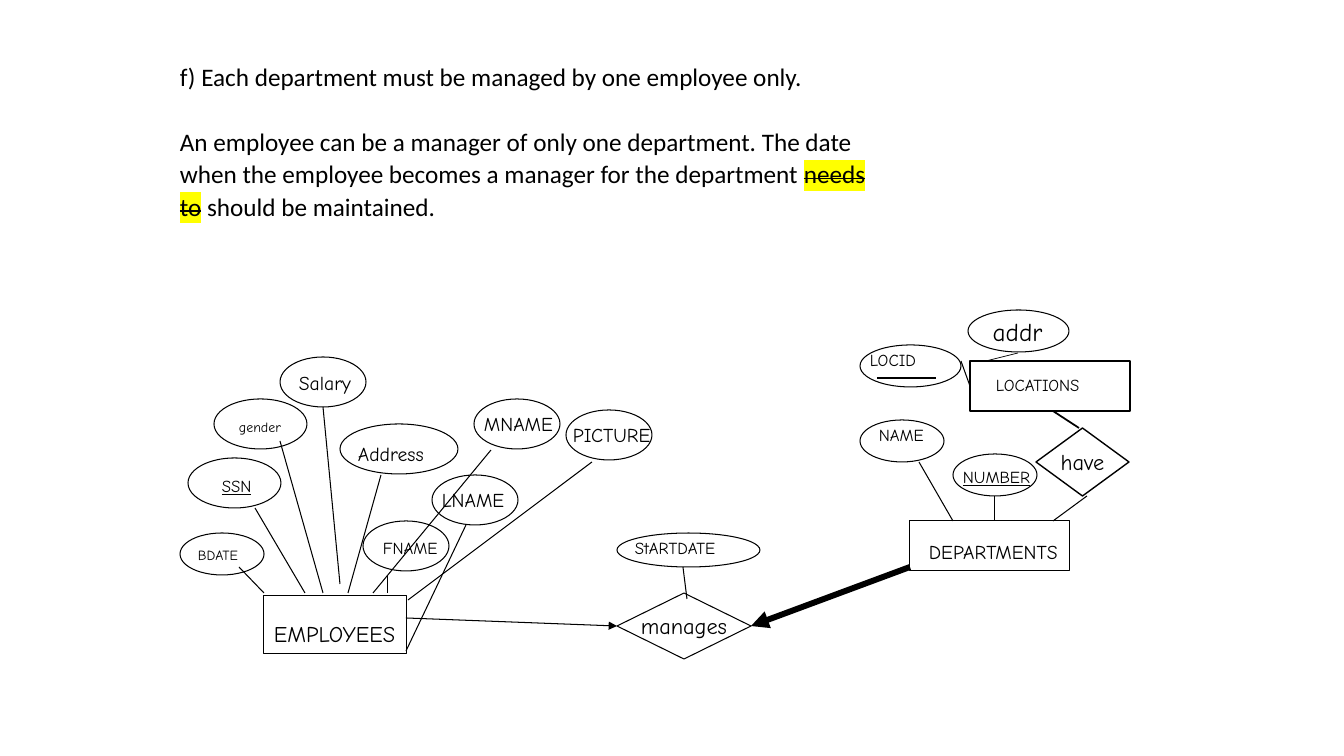
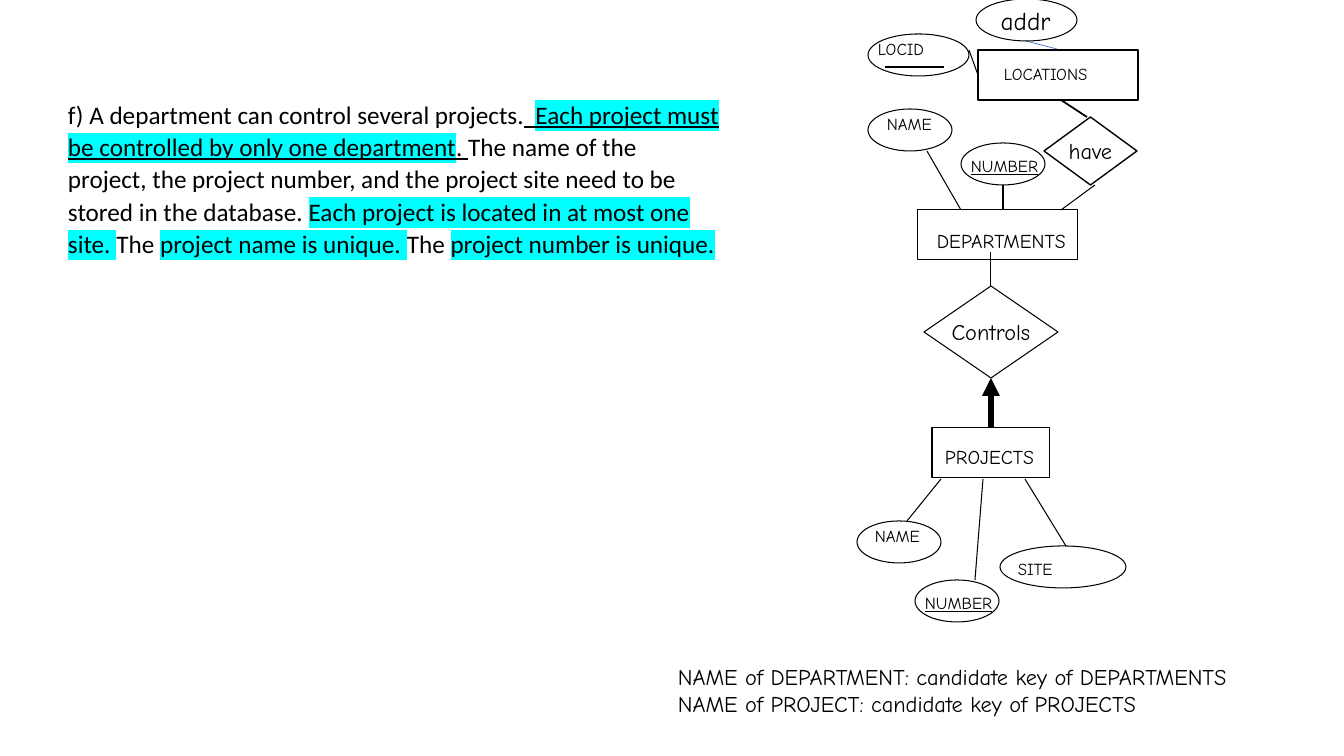
import pptx
import pptx.dml.color
import pptx.enum.shapes
import pptx.enum.text
import pptx.oxml.ns
import pptx.util
from lxml import etree

SCALE = 914400 / 100.8
BLACK, YELLOW, CYAN, BLUE = "000000", "FFFF00", "00FFFF", "4472C4"
BODY_FONT, DIAGRAM_FONT = "Calibri", "Comic Neue"
LABEL_HEIGHT = {10: 27, 12: 30, 14: 34, 16: 37}

shape_type = pptx.enum.shapes.MSO_SHAPE
RECTANGLE, ELLIPSE, DIAMOND = shape_type.RECTANGLE, shape_type.OVAL, shape_type.DIAMOND
LEFT, CENTER = pptx.enum.text.PP_ALIGN.LEFT, pptx.enum.text.PP_ALIGN.CENTER
qn = pptx.oxml.ns.qn


def color(hex_value):
    return pptx.dml.color.RGBColor.from_string(hex_value)


def add_run(paragraph, text, font_name, size, underline=False, strike=False, highlight=None):
    run = paragraph.add_run()
    run.text = text
    run.font.size = pptx.util.Pt(size)
    run.font.color.rgb = color(BLACK)
    if underline:
        run.font.underline = True
    properties = run.font._element
    if strike:
        properties.set("strike", "sngStrike")
    if highlight:
        marker = etree.SubElement(properties, qn("a:highlight"))
        etree.SubElement(marker, qn("a:srgbClr")).set("val", highlight)
    run.font.name = font_name


departments = {
    "outlines": [
        (RECTANGLE, 910, 521, 160, 50, 0.75),
        (ELLIPSE, 860, 420, 84, 42, 0.75),
        (ELLIPSE, 953, 454, 84, 42, 0.75),
        (RECTANGLE, 970, 361, 160, 50, 1),
        (DIAMOND, 1036, 428, 93, 68, 1, "have", 16, CENTER),
        (ELLIPSE, 860, 345, 101, 42, 0.75),
        (ELLIPSE, 968, 310, 101, 42, 0.75, "addr", 18, LEFT),
    ],
    "labels": [
        ("DEPARTMENTS", 919, 535, 170, 14, False),
        ("NAME", 869, 420, 72, 12, False),
        ("NUMBER", 953, 462, 93, 12, True),
        ("LOCATIONS", 986, 370, 126, 12, False),
        ("LOCID", 860, 345, 75, 12, False),
    ],
    "lines": [
        (995, 521, 995, 496, 0.75, BLACK, False),
        (1053, 521, 1087, 496, 0.75, BLACK, False),
        (953, 521, 919, 462, 0.75, BLACK, False),
        (1079, 428, 1053, 411, 1.25, BLACK, False),
        (961, 361, 970, 386, 0.75, BLACK, False),
        (877, 378, 936, 378, 0.75, BLACK, False),
    ],
}

employees = {
    "outlines": [
        (DIAMOND, 617, 593, 134, 66, 0.75, "manages", 16, CENTER),
        (ELLIPSE, 617, 533, 143, 34, 0.75),
        (RECTANGLE, 264, 596, 143, 58, 0.75),
        (ELLIPSE, 180, 533, 84, 42, 0.75),
        (ELLIPSE, 188, 458, 93, 50, 0.75),
        (ELLIPSE, 214, 399, 93, 50, 0.75),
        (ELLIPSE, 363, 521, 86, 50, 0.75),
        (ELLIPSE, 340, 424, 118, 50, 0.75),
        (ELLIPSE, 280, 357, 86, 50, 0.75),
        (ELLIPSE, 432, 475, 86, 50, 0.75),
        (ELLIPSE, 474, 399, 86, 50, 0.75),
        (ELLIPSE, 566, 410, 86, 50, 0.75),
    ],
    "labels": [
        ("StARTDATE", 625, 533, 120, 12, False),
        ("EMPLOYEES", 264, 615, 155, 16, False),
        ("BDATE", 188, 542, 68, 10, False),
        ("SSN", 212, 471, 57, 12, True),
        ("gender", 229, 414, 66, 10, False),
        ("Address", 348, 437, 97, 14, False),
        ("Salary", 289, 366, 79, 14, False),
        ("FNAME", 373, 533, 83, 12, False),
        ("LNAME", 432, 483, 92, 14, False),
        ("MNAME", 474, 407, 98, 14, False),
        ("PICTURE", 563, 418, 106, 14, False),
    ],
    "lines": [
        (406, 618, 617, 626, 0.75, BLACK, True),
        (910, 567, 751, 626, 4.25, BLACK, True),
        (683, 567, 687, 599, 0.75, BLACK, False),
        (264, 593, 239, 567, 0.75, BLACK, False),
        (388, 593, 388, 576, 0.75, BLACK, False),
        (305, 593, 255, 508, 0.75, BLACK, False),
        (323, 593, 280, 441, 0.75, BLACK, False),
        (323, 407, 340, 584, 0.75, BLACK, False),
        (381, 475, 348, 593, 0.75, BLACK, False),
        (466, 525, 406, 651, 0.75, BLACK, False),
        (491, 450, 373, 593, 0.75, BLACK, False),
        (408, 600, 592, 462, 0.75, BLACK, False),
        (986, 361, 1018, 353, 0.5, BLACK, False),
    ],
}

projects = {
    "outlines": [
        (RECTANGLE, 932, 428, 118, 50, 0.75),
        (ELLIPSE, 857, 521, 84, 42, 0.75),
        (ELLIPSE, 915, 580, 84, 42, 0.75),
        (ELLIPSE, 1000, 546, 126, 42, 0.75),
        (DIAMOND, 924, 286, 134, 92, 0.75, "Controls", 16, CENTER),
    ],
    "labels": [
        ("PROJECTS", 935, 440, 123, 14, False),
        ("NAME", 865, 521, 72, 12, False),
        ("NUMBER", 915, 588, 93, 12, True),
        ("SITE", 1008, 554, 64, 12, False),
    ],
    "lines": [
        (941, 479, 907, 521, 0.75, BLACK, False),
        (983, 479, 975, 580, 0.75, BLACK, False),
        (1025, 479, 1066, 546, 0.75, BLACK, False),
        (991, 428, 991, 378, 4.25, BLACK, True),
        (991, 252, 991, 286, 0.75, BLACK, False),
        (1026, 41, 1057, 49, 0.5, BLUE, False),
    ],
}

manager_rule = [
    [("f) Each department must be managed by one employee only. ", {})],
    [
        ("An employee can be a manager of only one department. The date when the employee "
         "becomes a manager for the department ", {}),
        ("needs to", {"strike": True, "highlight": YELLOW}),
        (" should be maintained. ", {}),
    ],
]
project_rule = [
    [
        ("f) A department can control several projects.", {}),
        ("  ", {"underline": True}),
        ("Each project must be controlled by only one department",
         {"underline": True, "highlight": CYAN}),
        (". ", {"underline": True}),
        ("The name of the project, the project number, and the project site need to be "
         "stored in the database. ", {}),
        ("Each project is located in at most one site. ", {"highlight": CYAN}),
        ("The ", {}),
        ("project name is unique. ", {"highlight": CYAN}),
        ("The ", {}),
        ("project number is unique.", {"highlight": CYAN}),
    ],
]
candidate_keys = [
    [("NAME of DEPARTMENT: candidate key of DEPARTMENTS", {})],
    [("NAME of PROJECT: candidate key of PROJECTS", {})],
]

pages = [
    ([(employees, 0, 0), (departments, 0, 0)],
     [(manager_rule, 170, 54, 730, 172, BODY_FONT, 18, 1.07, 23.5, True)]),
    ([(projects, 0, 0), (departments, 8, -311)],
     [(project_rule, 58, 92, 672, 205, BODY_FONT, 18, 1.07, 0, True),
      (candidate_keys, 668, 658, 644, 65, DIAGRAM_FONT, 16, 1.0, 0, False)]),
]

presentation = pptx.Presentation()
presentation.slide_width = round(1344 * SCALE)
presentation.slide_height = round(756 * SCALE)

for diagrams, passages in pages:
    slide = presentation.slides.add_slide(presentation.slide_layouts[6])
    boxes = list(passages)

    for diagram, shift_x, shift_y in diagrams:
        for kind, left, top, width, height, weight, *caption in diagram["outlines"]:
            bounds = (left + shift_x, top + shift_y, width, height)
            shape = slide.shapes.add_shape(kind, *(round(value * SCALE) for value in bounds))
            shape.shadow.inherit = False
            shape.fill.background()
            shape.line.color.rgb = color(BLACK)
            shape.line.width = pptx.util.Pt(weight)
            if caption:
                text, size, alignment = caption
                shape.text_frame.word_wrap = False
                shape.text_frame.vertical_anchor = pptx.enum.text.MSO_ANCHOR.MIDDLE
                paragraph = shape.text_frame.paragraphs[0]
                paragraph.alignment = alignment
                add_run(paragraph, text, DIAGRAM_FONT, size)

        for start_x, start_y, end_x, end_y, weight, line_color, arrow in diagram["lines"]:
            ends = (start_x + shift_x, start_y + shift_y, end_x + shift_x, end_y + shift_y)
            connector = slide.shapes.add_connector(
                pptx.enum.shapes.MSO_CONNECTOR.STRAIGHT, *(round(value * SCALE) for value in ends))
            connector.line.color.rgb = color(line_color)
            connector.line.width = pptx.util.Pt(weight)
            if arrow:
                line_properties = connector.line._get_or_add_ln()
                etree.SubElement(line_properties, qn("a:tailEnd")).set("type", "triangle")
            etree.SubElement(connector._element.spPr, qn("a:effectLst"))

        for text, left, top, width, size, underline in diagram["labels"]:
            boxes.append(([[(text, {"underline": underline})]], left + shift_x, top + shift_y,
                          width, LABEL_HEIGHT[size], DIAGRAM_FONT, size, 1.0, 0, False))

    for paragraphs, left, top, width, height, font_name, size, spacing, gap, wrap in boxes:
        bounds = (left, top, width, height)
        box = slide.shapes.add_textbox(*(round(value * SCALE) for value in bounds))
        frame = box.text_frame
        frame.word_wrap = wrap
        frame.auto_size = pptx.enum.text.MSO_AUTO_SIZE.SHAPE_TO_FIT_TEXT
        for index, runs in enumerate(paragraphs):
            paragraph = frame.add_paragraph() if index else frame.paragraphs[0]
            paragraph.line_spacing = spacing
            if index:
                paragraph.space_before = pptx.util.Pt(gap)
            for text, style in runs:
                add_run(paragraph, text, font_name, size, **style)

presentation.save("out.pptx")
